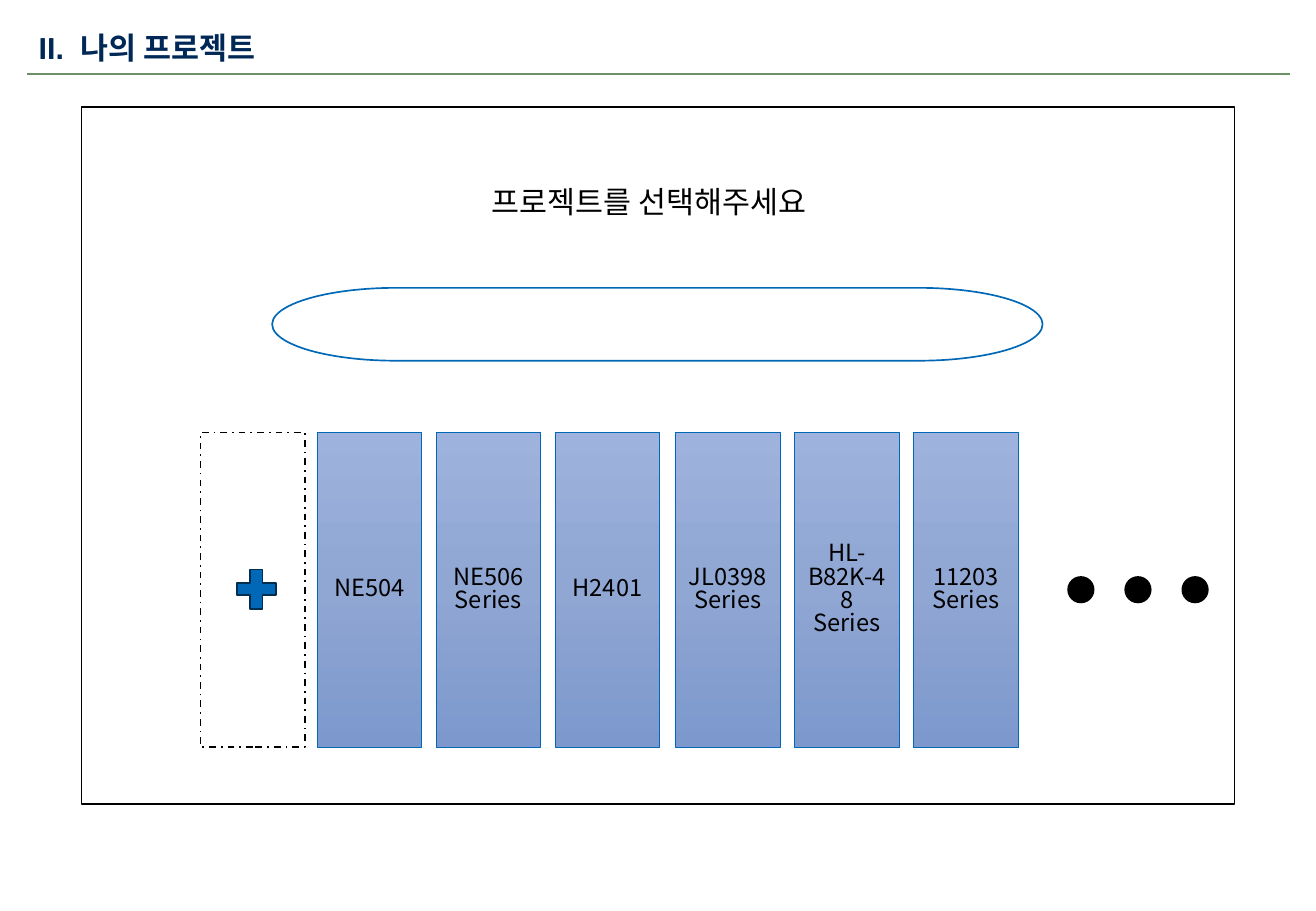
from copy import deepcopy
from dataclasses import dataclass

from pptx import Presentation
from pptx.dml.color import RGBColor
from pptx.enum.dml import MSO_LINE_DASH_STYLE as Dash
from pptx.enum.shapes import MSO_CONNECTOR as Connector, MSO_SHAPE as Shape
from pptx.enum.text import MSO_ANCHOR as Anchor, PP_ALIGN as Align
from pptx.oxml.ns import qn
from pptx.oxml.xmlchemy import OxmlElement
from pptx.util import Emu, Pt

PX = 9144  # EMU in one px, 100 px to the inch


@dataclass(frozen=True)
class Theme:
    title_font: str = "Arial"
    body_font: str = "Noto Sans CJK KR"
    heading_size: int = 18
    card_size: int = 14
    heading_spacing: float = 0.9
    card_spacing: float = 0.82
    white: str = "FFFFFF"
    black: str = "000000"
    navy: str = "002856"
    green: str = "6B9265"
    blue: str = "0068B6"
    dark_blue: str = "002E50"
    card_gradient: tuple = ((0, "9DB2DC"), (0.5, "90A6D3"), (1, "7C98CD"))


class SlideBuilder:
    def __init__(self, slide, theme):
        self.slide = slide
        self.theme = theme

    def box(self, left, top, width, height):
        return [Emu(value * PX) for value in (left, top, width, height)]

    def rule(self, left, right, y, color, weight):
        line = self.slide.shapes.add_connector(
            Connector.STRAIGHT, *self.box(left, y, right, y))
        line.line.color.rgb = RGBColor.from_string(color)
        line.line.width = Pt(weight)
        line._element.spPr.append(OxmlElement("a:effectLst"))

    def shape(self, kind, bounds, fill, line, weight=1, dash=None):
        shape = self.slide.shapes.add_shape(kind, *self.box(*bounds))
        shape.shadow.inherit = False
        if isinstance(fill, str):
            shape.fill.solid()
            shape.fill.fore_color.rgb = RGBColor.from_string(fill)
        else:
            self.gradient(shape, fill)
        shape.line.color.rgb = RGBColor.from_string(line)
        shape.line.width = Pt(weight)
        if dash:
            shape.line.dash_style = dash
        return shape

    def gradient(self, shape, stops):
        shape.fill.gradient()
        shape.fill.gradient_angle = 270
        stop_list = shape._element.spPr.find(qn("a:gradFill")).find(qn("a:gsLst"))
        while len(stop_list) < len(stops):
            stop_list.append(deepcopy(stop_list[0]))
        for stop, (position, color) in zip(shape.fill.gradient_stops, stops):
            stop.position = position
            stop.color.rgb = RGBColor.from_string(color)

    def run(self, paragraph, text, size, font, color, bold=False):
        run = paragraph.add_run()
        run.text = text
        run.font.size = Pt(size)
        run.font.name = font
        run.font.bold = bold
        run.font.color.rgb = RGBColor.from_string(color)
        east_asian = OxmlElement("a:ea")
        east_asian.set("typeface", self.theme.body_font)
        run.font._element.find(qn("a:latin")).addnext(east_asian)
        return run

    def text_box(self, bounds, anchor):
        frame = self.slide.shapes.add_textbox(*self.box(*bounds)).text_frame
        frame.word_wrap = True
        frame.vertical_anchor = anchor
        paragraph = frame.paragraphs[0]
        paragraph.line_spacing = self.theme.heading_spacing
        return paragraph

    def title(self, bounds, number, text):
        theme = self.theme
        paragraph = self.text_box(bounds, Anchor.MIDDLE)
        style = (theme.heading_size, theme.title_font, theme.navy, True)
        self.run(paragraph, number, *style)
        gap = self.run(paragraph, " ", *style)
        gap.font._element.set("spc", "500")  # widens the gap after the number
        self.run(paragraph, text, *style)

    def prompt(self, bounds, text):
        theme = self.theme
        self.run(self.text_box(bounds, Anchor.TOP), text,
                 theme.heading_size, theme.body_font, theme.black)

    def card(self, bounds, paragraphs):
        theme = self.theme
        frame = self.shape(Shape.RECTANGLE, bounds, theme.card_gradient,
                           theme.blue, 0.5).text_frame
        frame.word_wrap = True
        frame.vertical_anchor = Anchor.MIDDLE
        for index, text in enumerate(paragraphs):
            paragraph = frame.add_paragraph() if index else frame.paragraphs[0]
            paragraph.alignment = Align.CENTER
            paragraph.line_spacing = theme.card_spacing
            for row, line in enumerate(text.split("\n")):
                if row:
                    paragraph.add_line_break()
                self.run(paragraph, line, theme.card_size,
                         theme.body_font, theme.black)


def main():
    presentation = Presentation()
    presentation.slide_width = Emu(1083 * PX)
    presentation.slide_height = Emu(750 * PX)
    theme = Theme()
    slide = presentation.slides.add_slide(presentation.slide_layouts[6])
    builder = SlideBuilder(slide, theme)

    # Heading
    builder.rule(22, 1062, 61, theme.green, 0.75)
    builder.title((22, 21, 1039, 39), "II.", "나의 프로젝트")

    # Screen frame, prompt and search field
    builder.shape(Shape.RECTANGLE, (67, 88, 949, 574), theme.white, theme.black)
    builder.prompt((395, 149, 467, 40), "프로젝트를 선택해주세요")
    builder.shape(Shape.FLOWCHART_TERMINATOR, (224, 237, 634, 60),
                  theme.white, theme.blue)

    # Tile for a new project
    card_top, card_width, card_height = 356, 86, 259
    builder.shape(Shape.RECTANGLE, (165, card_top, card_width, card_height),
                  theme.white, theme.black, dash=Dash.DASH_DOT)
    builder.shape(Shape.MATH_PLUS, (189, 463, 44, 44), theme.blue, theme.dark_blue)

    # Project cards
    projects = (
        ["NE504"],
        ["NE506", "Series"],
        ["H2401"],
        ["JL0398\nSeries"],
        ["HL-B82K-48\nSeries"],
        ["11203\nSeries"],
    )
    for index, project in enumerate(projects):
        left = 261 + round(index * 98.2)
        builder.card((left, card_top, card_width, card_height), project)

    # Dots for further projects
    for index in range(3):
        builder.shape(Shape.OVAL, (879 + index * 47, 475, 21, 21),
                      theme.black, theme.black)

    presentation.save("out.pptx")


if __name__ == "__main__":
    main()
